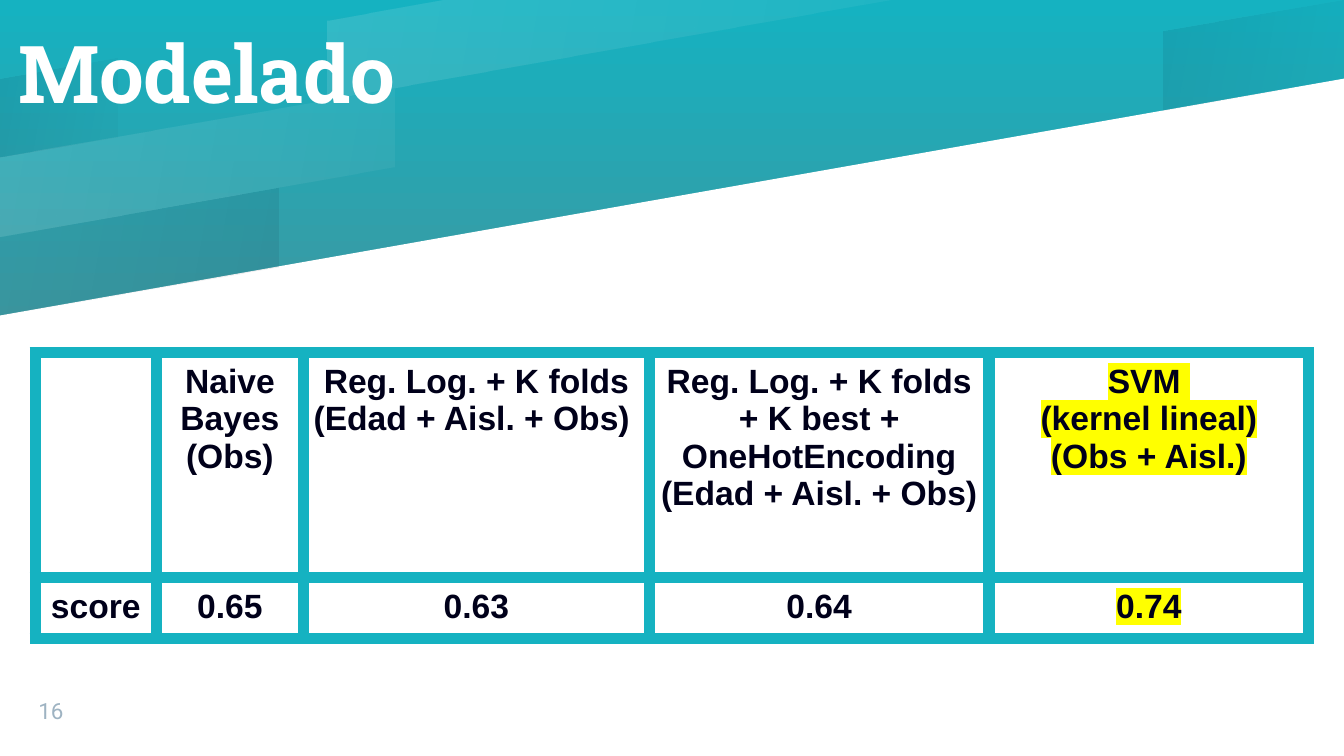
import pptx
import pptx.util
import pptx.oxml
import pptx.dml.color
import pptx.enum.text
from lxml import etree

Inches, Pt = pptx.util.Inches, pptx.util.Pt
RGB = pptx.dml.color.RGBColor.from_string
ANCHOR, ALIGN = pptx.enum.text.MSO_ANCHOR, pptx.enum.text.PP_ALIGN
NS = 'xmlns:a="http://schemas.openxmlformats.org/drawingml/2006/main"'
C = {"teal": "15B2C1", "gray": "737373", "white": "FFFFFF", "ink": "00001A",
     "number": "9EB3C2", "yellow": "FFFF00"}


def set_gradient(fill, stops, angle):
    """Fill with (colour, opacity %) stops; the angle runs clockwise."""
    fill.gradient()
    fill.gradient_angle = 360 - angle
    for stop, position, (color, opacity) in zip(fill.gradient_stops, (0, 1), stops):
        stop.position = position
        stop.color.rgb = RGB(C[color])
        if opacity < 100:
            rgb = stop._element.find("{*}srgbClr")
            rgb.append(pptx.oxml.parse_xml(f'<a:alpha {NS} val="{opacity * 1000}"/>'))


def add_run(p, text, size, font, color, bold=False, extra=None):
    """Add a run; extra is XML that belongs between its fill and its font."""
    r = p.add_run()
    r.text = text
    r.font.size, r.font.bold = Pt(size), bold
    r.font.color.rgb = RGB(C[color])
    if extra:
        r._r.get_or_add_rPr().append(pptx.oxml.parse_xml(extra))
    r.font.name = font


prs = pptx.Presentation()
prs.slide_width, prs.slide_height = Inches(13.33), Inches(7.5)
s = prs.slides.add_slide(prs.slide_layouts[6])
set_gradient(s.background.fill, [("teal", 100), ("gray", 100)], 90)

# Slanted white area and translucent bands
light = [("white", 12), ("white", 5)]
dark = [("ink", 8), ("ink", 2)]
bands = [
    ([(0, 7.5), (13.33, 7.5), (13.33, 0.78), (0, 3.13)], None),
    ([(4.42, 0), (3.25, 0.21), (3.25, 0.99), (8.87, 0)], light),
    ([(0, 0.78), (0, 1.56), (1.17, 1.36), (1.17, 0.57)], dark),
    ([(0, 2.35), (0, 3.13), (2.76, 2.65), (2.76, 1.86)], dark[::-1]),
    ([(13.33, 0), (11.54, 0.31), (11.54, 1.1), (13.33, 0.78)], dark),
    ([(0, 1.56), (0, 2.35), (3.91, 1.66), (3.91, 0.88)], light),
]
for points, stops in bands:
    corners = [(Inches(x), Inches(y)) for x, y in points]
    builder = s.shapes.build_freeform(*corners[0])
    builder.add_line_segments(corners[1:], close=True)
    sp = builder.convert_to_shape()
    sp.shadow.inherit = False
    sp.line.fill.background()
    if stops:
        set_gradient(sp.fill, stops, 10)
    else:
        sp.fill.solid()
        sp.fill.fore_color.rgb = RGB(C["white"])

# Slide number and title
title_shadow = (f'<a:effectLst {NS}><a:outerShdw blurRad="38100" dist="19050" dir="5400000">'
                f'<a:srgbClr val="{C["ink"]}"><a:alpha val="40000"/></a:srgbClr>'
                '</a:outerShdw></a:effectLst>')
texts = [
    ((0.38, 6.82, 0.7, 0.36), ANCHOR.BOTTOM, 1, ("16", 16, "Roboto", "number")),
    ((0.18, 0.12, 9.63, 1.31), ANCHOR.MIDDLE, 0.9,
     ("Modelado", 57, "Roboto Slab", "white", True, title_shadow)),
]
for box, anchor, spacing, run in texts:
    tf = s.shapes.add_textbox(*map(Inches, box)).text_frame
    tf.word_wrap = True
    tf.vertical_anchor = anchor
    tf.margin_left = tf.margin_right = tf.margin_top = tf.margin_bottom = 0
    tf.paragraphs[0].line_spacing = spacing
    add_run(tf.paragraphs[0], *run)

# Score table, one list of paragraphs per cell
rows = [
    [[], ["Naive Bayes", "(Obs)"], ["Reg. Log. + K folds (Edad + Aisl. + Obs) "],
     ["Reg. Log. + K folds + K best + OneHotEncoding", "(Edad + Aisl. + Obs) "],
     ["SVM ", "(kernel lineal)", "(Obs + Aisl.)"]],
    [["score"], ["0.65"], ["0.63"], ["0.64"], ["0.74"]],
]
widths, heights = [1.2, 1.46, 3.43, 3.37, 3.17], [2.23, 0.6]
table = s.shapes.add_table(len(rows), len(widths), Inches(0.35), Inches(3.5),
                           Inches(sum(widths)), Inches(sum(heights))).table
table.first_row = table.horz_banding = False
for column, width in zip(table.columns, widths):
    column.width = Inches(width)
for row, height in zip(table.rows, heights):
    row.height = Inches(height)

highlight = f'<a:highlight {NS}><a:srgbClr val="{C["yellow"]}"/></a:highlight>'
best = len(widths) - 1
for i, row in enumerate(rows):
    for j, lines in enumerate(row):
        cell = table.cell(i, j)
        cell.margin_left = cell.margin_right = Inches(0.1)
        cell.margin_top = cell.margin_bottom = Inches(0.1)
        for side in "LRTB":
            cell._tc.get_or_add_tcPr().append(pptx.oxml.parse_xml(
                f'<a:ln{side} {NS} w="{Pt(9)}"><a:solidFill><a:srgbClr val="{C["teal"]}"/>'
                f'</a:solidFill></a:ln{side}>'))
        cell.fill.background()
        tf = cell.text_frame
        for k, line in enumerate(lines):
            p = tf.add_paragraph() if k else tf.paragraphs[0]
            p.alignment = ALIGN.CENTER
            add_run(p, line, 24, "Arial", "ink", True, highlight if j == best else None)

prs.save("out.pptx")
